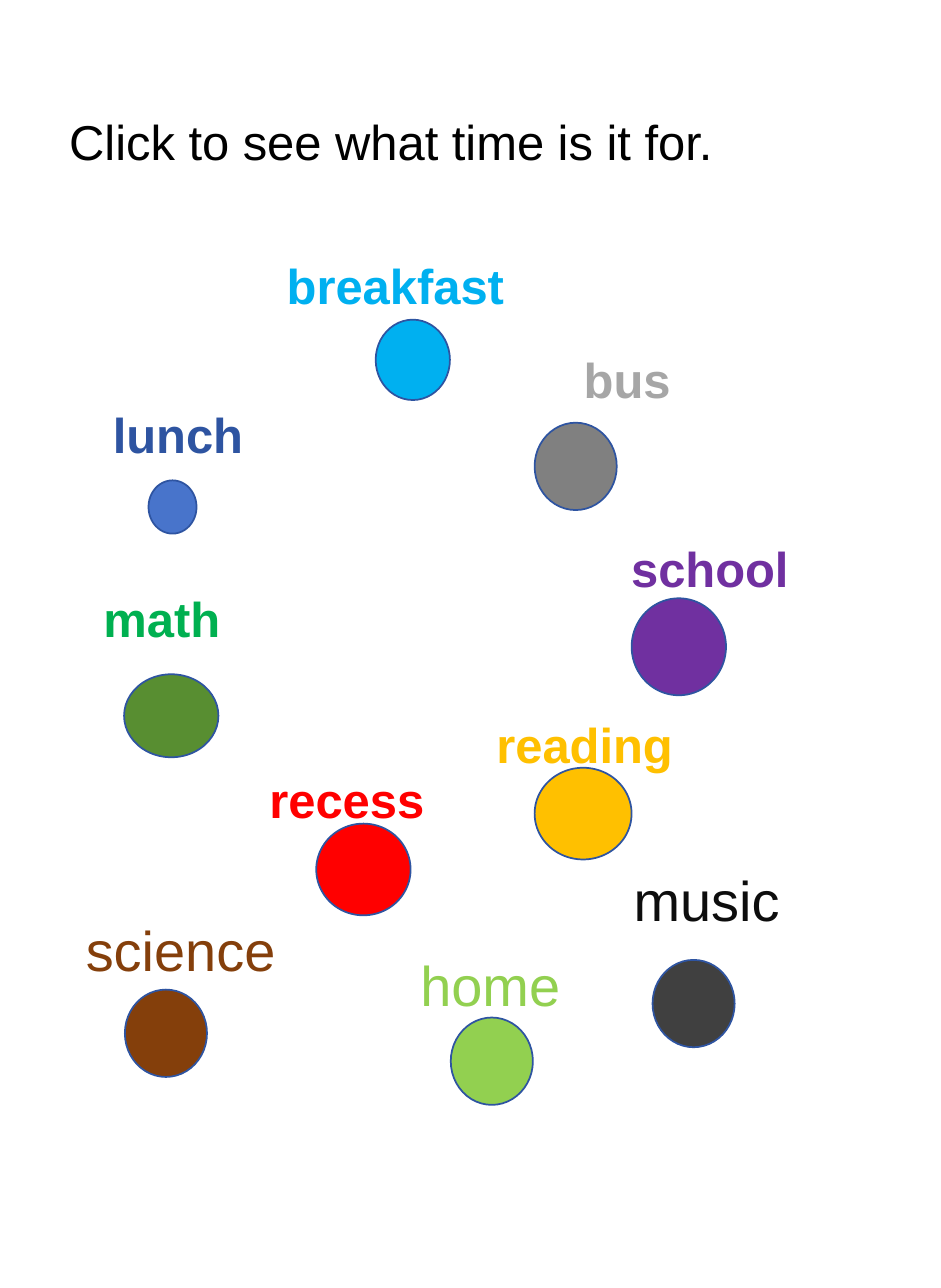
from pptx import Presentation
from pptx.dml.color import RGBColor
from pptx.enum.shapes import MSO_SHAPE
from pptx.util import Pt

OVAL = MSO_SHAPE.OVAL
FONT = "Arial"
OUTLINE = "2E54A1"
INSET = 7.2
INDENTED = 12.2

# word, word colour, size, bold, left inset, label box, dot colour, dot box within the label box
ACTIVITIES = [
    ("breakfast", "00B0F0", 28, True, INSET, (157, 143, 170, 35), "00B0F0", (58, 40, 42.5, 46)),
    ("bus", "A6A6A6", 28, True, INSET, (327, 196.5, 70, 32), "808080", (-21, 45.5, 47, 50)),
    ("lunch", "2E54A1", 28, True, INSET, (57.5, 228, 123, 35), "4874CB", (27.5, 47, 27.5, 30.5)),
    ("school", "7030A0", 28, True, INDENTED, (349, 304.5, 135, 38), "7030A0", (12.5, 38, 54, 55.5)),
    ("math", "00B050", 28, True, INDENTED, (47, 333.5, 104.5, 45.5), "588E31", (24, 52.5, 54, 47.5)),
    ("reading", "FFC000", 28, True, INSET, (277, 405.5, 139, 34.5), "FFC000", (29, 34, 55.5, 52.5)),
    ("recess", "FF0000", 28, True, INDENTED, (142, 437, 146, 34.5), "FF0000", (39, 34.5, 54, 52.5)),
    ("music", "0D0D0D", 32, False, INSET, (355.5, 492, 111.5, 47.5), "404040", (18, 57.5, 47, 50)),
    ("science", "843F0B", 32, False, INSET, (42, 520.5, 148.5, 46), "843F0B", (29.5, 46, 47, 50)),
    ("home", "92D050", 32, False, INSET, (233.5, 540.5, 108, 46), "92D050", (24.5, 42, 47, 50)),
]


def colour(hex_value):
    """Turn a hex string into a colour."""
    return RGBColor.from_string(hex_value)


def add_label(slide, box, words, hex_value, size, bold=False, inset=INSET):
    """Write one line of text at the top left of the box."""
    label = slide.shapes.add_textbox(*map(Pt, box))
    frame = label.text_frame
    frame.word_wrap = True
    frame.margin_left = Pt(inset)
    line = frame.paragraphs[0]
    line.text = words
    line.font.name = FONT
    line.font.size = Pt(size)
    line.font.bold = bold
    line.font.color.rgb = colour(hex_value)


def add_dot(slide, box, hex_value):
    """Draw an outlined dot that fills the box."""
    dot = slide.shapes.add_shape(OVAL, *map(Pt, box))
    dot.shadow.inherit = False
    dot.fill.solid()
    dot.fill.fore_color.rgb = colour(hex_value)
    dot.line.color.rgb = colour(OUTLINE)
    dot.line.width = Pt(1)


def add_activity(slide, box, word, word_colour, size, bold, inset, dot_colour, dot_box):
    """Place an activity's dot and its word relative to the box."""
    left, top = box[:2]
    dx, dy, width, height = dot_box
    add_dot(slide, (left + dx, top + dy, width, height), dot_colour)
    add_label(slide, box, word, word_colour, size, bold, inset)


def main():
    """Build the slide and save it."""
    deck = Presentation()
    deck.slide_width, deck.slide_height = Pt(538.56), Pt(737.28)
    slide = deck.slides.add_slide(deck.slide_layouts[6])
    add_label(slide, (32.5, 60.5, 452, 67.5), "Click to see what time is it for.", "000000", 28)
    for word, word_colour, size, bold, inset, box, dot_colour, dot_box in ACTIVITIES:
        add_activity(slide, box, word, word_colour, size, bold, inset, dot_colour, dot_box)
    deck.save("out.pptx")


if __name__ == "__main__":
    main()
